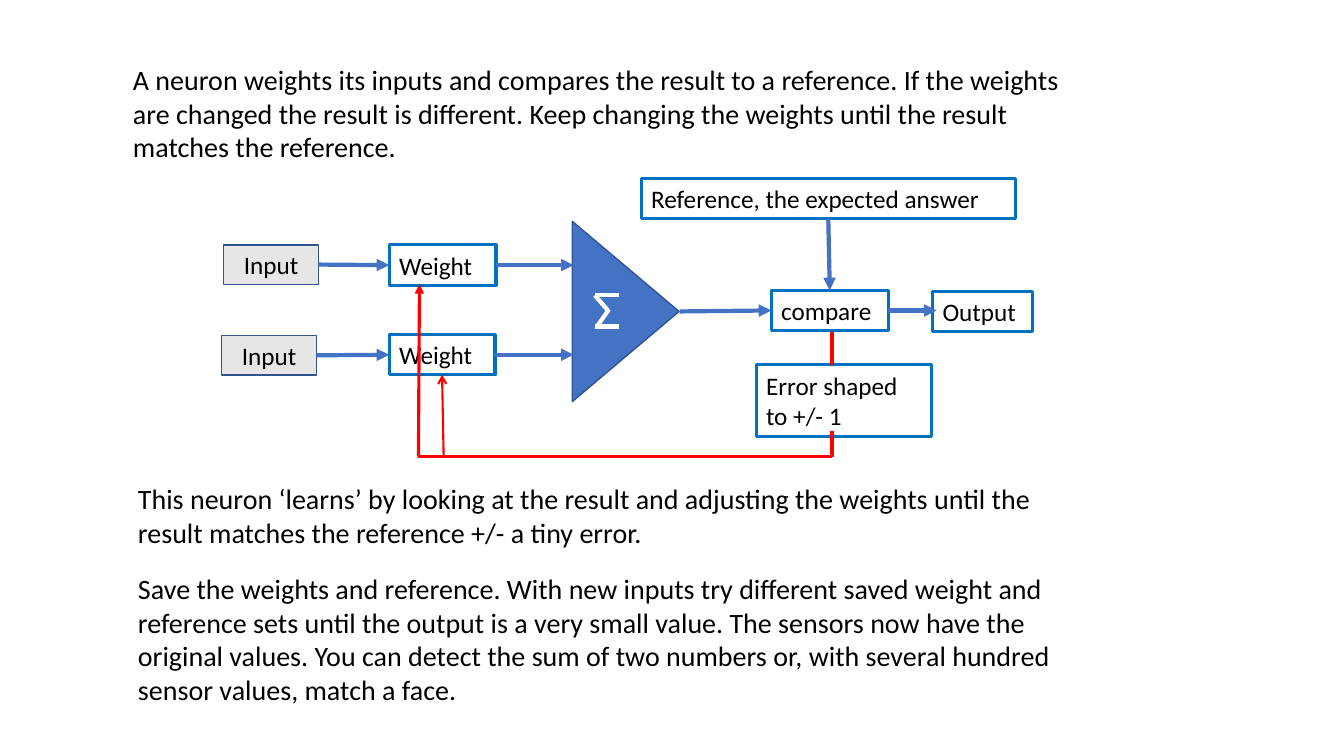
from lxml import etree
from pptx import Presentation
from pptx.dml.color import RGBColor
from pptx.enum import shapes, text
from pptx.oxml import ns
from pptx.util import Inches, Pt

BLACK = RGBColor(0x00, 0x00, 0x00)
WHITE = RGBColor(0xFF, 0xFF, 0xFF)
BLUE = RGBColor(0x44, 0x72, 0xC4)
NAVY = RGBColor(0x32, 0x54, 0x91)
EDGE = RGBColor(0x00, 0x70, 0xC0)
GREY = RGBColor(0xE7, 0xE6, 0xE6)
RED = RGBColor(0xFF, 0x00, 0x00)

RIGHT, LEFT, TOP, BOTTOM = 3, 1, 0, 2
GROW = {"word_wrap": True, "auto_size": text.MSO_AUTO_SIZE.SHAPE_TO_FIT_TEXT}
MIDDLE = {"word_wrap": True, "vertical_anchor": text.MSO_ANCHOR.MIDDLE}

INTRO = ("A neuron weights its inputs and compares the result to a reference. "
         "If the weights are changed the result is different. Keep changing "
         "the weights until the result matches the reference.")
LEARN = ("This neuron ‘learns’ by looking at the result and adjusting the "
         "weights until the result matches the reference +/- a tiny error.")
REUSE = ("Save the weights and reference. With new inputs try different saved "
         "weight and reference sets until the output is a very small value. "
         "The sensors now have the original values. You can detect the sum of "
         "two numbers or, with several hundred sensor values, match a face.")


def assign(item, values):
    for name, value in values.items():
        setattr(item, name, value)


def outline(item, color, width):
    item.line.color.rgb = color
    item.line.width = Pt(width)


def write(item, words, size, frame, align=text.PP_ALIGN.LEFT):
    assign(item.text_frame, frame)
    para = item.text_frame.paragraphs[0]
    para.alignment = align
    run = para.add_run()
    run.text = words
    assign(run.font, {"name": "Calibri", "size": Pt(size)})
    run.font.color.rgb = BLACK


def note(slide, words, *area):
    box = slide.shapes.add_textbox(*map(Inches, area))
    write(box, words, 20, GROW)


def label(slide, words, *area):
    """Outlined box with text."""
    box = slide.shapes.add_textbox(*map(Inches, area))
    outline(box, EDGE, 2.25)
    write(box, words, 18, GROW)
    return box


def solid(slide, kind, fill, *area):
    item = slide.shapes.add_shape(kind, *map(Inches, area))
    item.shadow.inherit = False
    item.fill.solid()
    item.fill.fore_color.rgb = fill
    outline(item, NAVY, 1)
    return item


def source(slide, left, top):
    """Grey input box."""
    box = solid(slide, shapes.MSO_SHAPE.RECTANGLE, GREY, left, top, 0.94, 0.39)
    write(box, "Input", 18, MIDDLE, text.PP_ALIGN.CENTER)
    return box


def link(slide, start, end, color=BLUE, width=3, head=None):
    """Line between two ends, each a point or a (box, side) pair."""
    points = [(0, 0) if hasattr(p[0], "shape_id") else p for p in (start, end)]
    line = slide.shapes.add_connector(
        shapes.MSO_CONNECTOR.STRAIGHT,
        *(Inches(v) for point in points for v in point))
    for place, join in ((start, line.begin_connect), (end, line.end_connect)):
        if hasattr(place[0], "shape_id"):
            join(*place)
    outline(line, color, width)
    props = line._element.spPr
    if head:
        etree.SubElement(props.find(ns.qn("a:ln")), ns.qn("a:tailEnd"), type=head)
    etree.SubElement(props, ns.qn("a:effectLst"))


def main():
    deck = Presentation()
    assign(deck, {"slide_width": Inches(13.33), "slide_height": Inches(7.5)})
    slide = deck.slides.add_slide(deck.slide_layouts[6])

    # Text above and below the diagram
    note(slide, INTRO, 1.22, 0.57, 9.61, 1.11)
    note(slide, LEARN, 1.27, 4.73, 9.4, 0.77)
    note(slide, REUSE, 1.27, 5.62, 9.61, 1.45)

    # Summing triangle with its sigma
    adder = solid(slide, shapes.MSO_SHAPE.ISOSCELES_TRIANGLE, BLUE,
                  5.31, 2.56, 1.79, 1.06)
    adder.rotation = 90
    for start, end in (((5.9, 2.93), (6.14, 2.93)), ((5.9, 3.24), (6.14, 3.24)),
                       ((5.9, 2.93), (6.03, 3.08)), ((6.04, 3.07), (5.92, 3.24))):
        link(slide, start, end, WHITE)

    # Boxes of the right half
    compare = label(slide, "compare", 7.65, 2.88, 1.16, 0.4)
    target = label(slide, "Reference, the expected answer", 6.36, 1.77, 3.71, 0.4)
    label(slide, "Output", 9.25, 2.89, 0.99, 0.4)
    label(slide, "Error shaped to +/- 1", 7.5, 3.62, 1.74, 0.71)

    # Inputs and weights, one row each
    for left, top, high, wide in ((2.22, 2.43, 2.43, 1.06), (2.2, 3.33, 3.32, 1.05)):
        entry = source(slide, left, top)
        weight = label(slide, "Weight", 3.86, high, wide, 0.4)
        level = high + 0.2
        link(slide, (entry, RIGHT), (weight, LEFT), head="triangle")
        link(slide, (weight, RIGHT), (5.69, level), head="triangle")

    # Signal flow
    link(slide, (6.74, 3.09), (compare, LEFT), head="triangle")
    link(slide, (compare, RIGHT), (9.29, 3.08), head="triangle")
    link(slide, (target, BOTTOM), (compare, TOP), head="triangle")

    # Error feedback to the weights
    link(slide, (8.25, 3.29), (8.25, 3.62), RED)
    link(slide, (8.25, 4.28), (8.25, 4.53), RED)
    link(slide, (8.25, 4.53), (4.15, 4.53), RED, 2)
    link(slide, (4.15, 4.53), (4.16, 2.82), RED, 2.25, "triangle")
    link(slide, (4.4, 4.53), (weight, BOTTOM), RED, 1.5, "arrow")

    deck.save("out.pptx")


if __name__ == "__main__":
    main()
